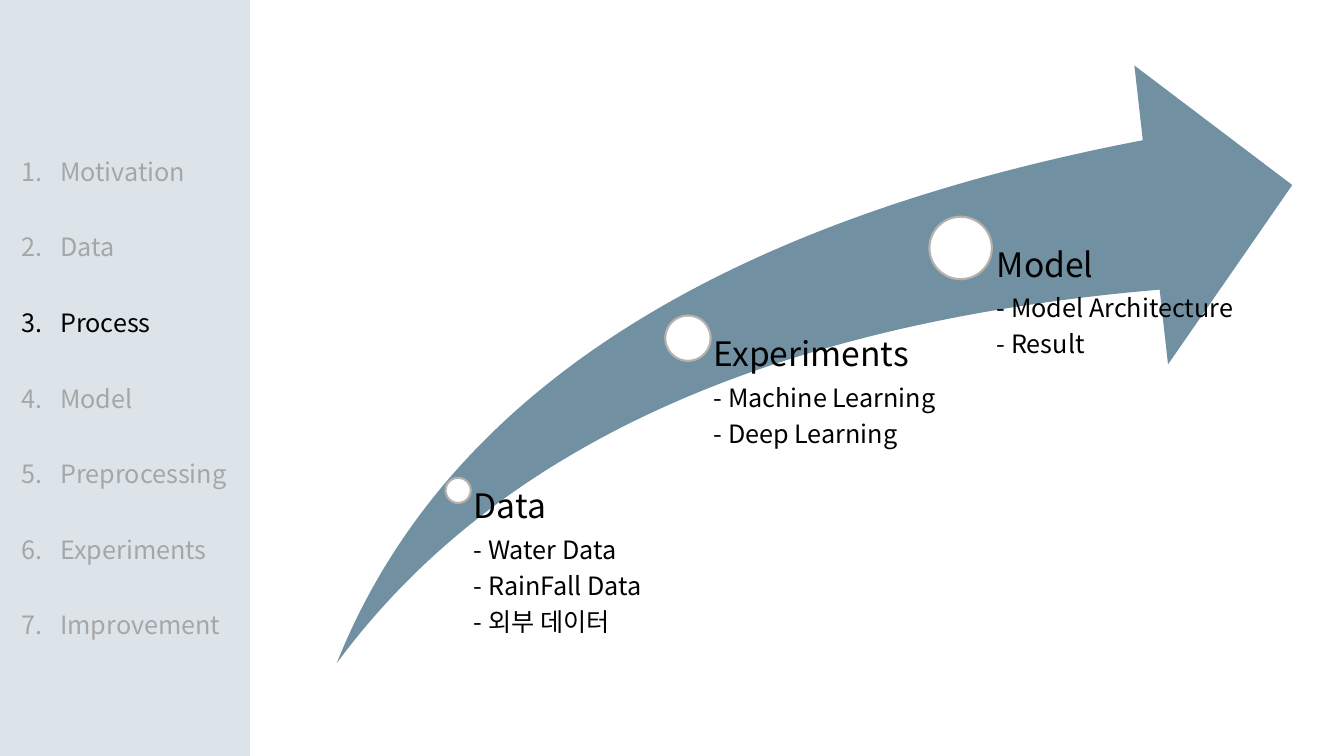
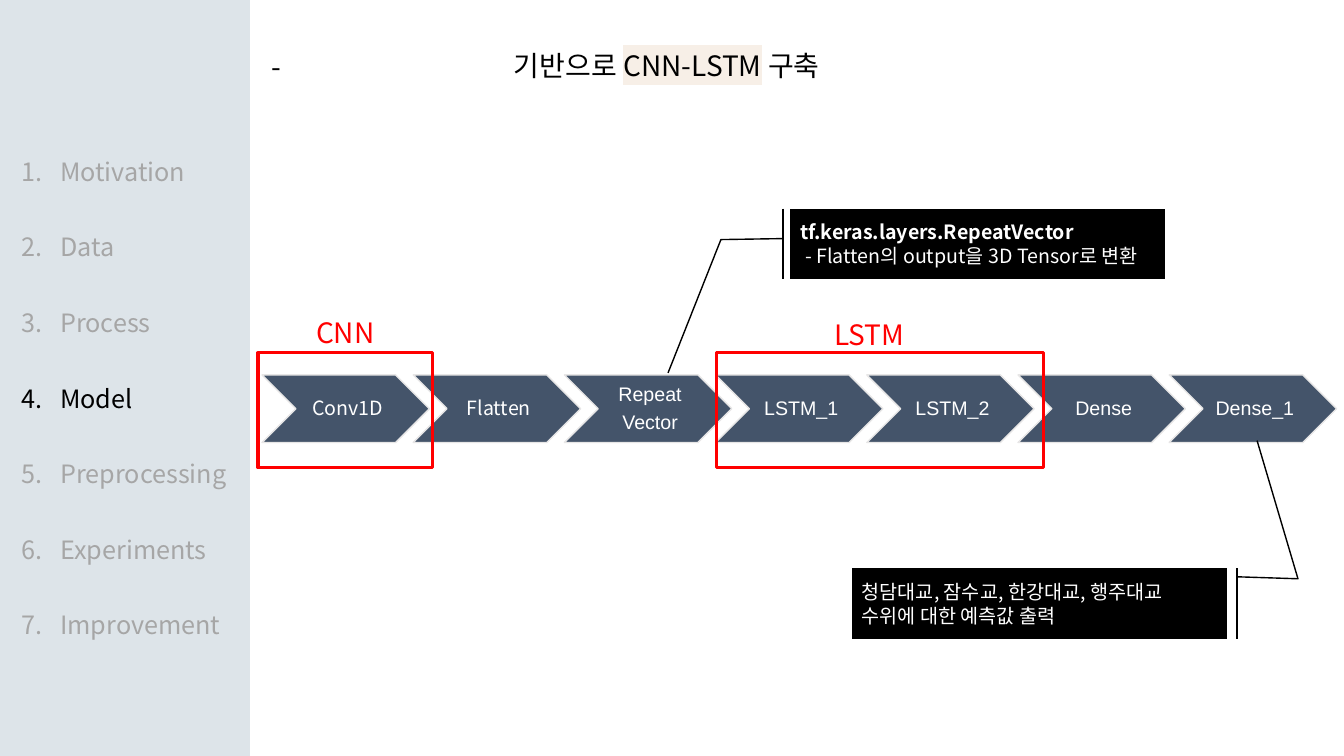
from lxml import etree
from pptx import Presentation
from pptx.dml.color import RGBColor
from pptx.enum.shapes import MSO_SHAPE
from pptx.enum.text import MSO_ANCHOR, PP_ALIGN
from pptx.oxml.ns import qn
from pptx.util import Pt

PX = 9144
RECT, OVAL = MSO_SHAPE.RECTANGLE, MSO_SHAPE.OVAL
SWOOSH, CHEVRON = MSO_SHAPE.SWOOSH_ARROW, MSO_SHAPE.CHEVRON
CALLOUT = MSO_SHAPE.LINE_CALLOUT_2_ACCENT_BAR
TOP, MIDDLE = MSO_ANCHOR.TOP, MSO_ANCHOR.MIDDLE
LEFT, CENTER = PP_ALIGN.LEFT, PP_ALIGN.CENTER
NOTO, ARIAL = "Noto Sans CJK KR", "Arial"
C = {
    "black": "000000", "white": "FFFFFF", "red": "FF0000", "muted": "A6A6A6",
    "band": "DDE4E9", "swoosh": "7191A3", "ring": "B7B1AC",
    "step": "44546A", "step_line": "E7E6E6", "mark": "F7EFE7",
}

SECTIONS = ["Motivation", "Data", "Process", "Model",
            "Preprocessing", "Experiments", "Improvement"]

STAGES = [
    {"dot": (442, 474, 25), "text": (457, 486, 221, 171), "inset": 13,
     "title": "Data",
     "items": ["- Water Data", "- RainFall Data", "- 외부 데이터"]},
    {"dot": (660, 313, 45), "text": (684, 335, 264, 322), "inset": 24,
     "title": "Experiments",
     "items": ["- Machine Learning", "- Deep Learning"]},
    {"dot": (922, 215, 62), "text": (956, 246, 288, 412), "inset": 33,
     "title": "Model",
     "items": ["- Model Architecture", "- Result"]},
]

HEADLINE = [("기반으로 ", {}), ("CNN-LSTM", {"mark": "mark"}), (" 구축", {})]
LAYERS = [
    (["Conv1D"], NOTO), (["Flatten"], NOTO), (["Repeat", "Vector"], ARIAL),
    (["LSTM_1"], ARIAL), (["LSTM_2"], ARIAL), (["Dense"], ARIAL),
    (["Dense_1"], ARIAL),
]
BLOCKS = [
    ("CNN", (256, 350, 173, 114), (294, 291, 97, 55)),
    ("LSTM", (711, 350, 324, 114), (814, 293, 97, 55)),
]
CALLOUTS = [
    {"at": (784, 207, 372, 70),
     "adj": (0.425, -0.02, 0.439, -0.185, 2.328, -0.326),
     "text": [[("tf.keras.layers.RepeatVector", {"bold": True})],
              "- Flatten의 output을 3D Tensor로 변환"],
     "indents": [0, 5]},
    {"at": (845, 564, 372, 70),
     "adj": (0.118, 1.027, 0.146, 1.19, -1.812, 1.081),
     "text": ["청담대교, 잠수교, 한강대교, 행주대교 수위에 대한 예측값 출력"],
     "indents": [0]},
]


def px(*values):
    return [round(v * PX) for v in values]


def child(parent, tag, **attrs):
    return etree.SubElement(parent, qn(tag), attrs)


def add_run(p, text, size=18, color="black", font=NOTO, bold=False, mark=None):
    r = p.add_run()
    r.text = text
    r.font.size = Pt(size)
    r.font.bold = bold
    r.font.color.rgb = RGBColor.from_string(C[color])
    if mark:
        rpr = r._r.get_or_add_rPr()
        child(child(rpr, "a:highlight"), "a:srgbClr", val=C[mark])
    r.font.name = font
    child(r._r.rPr, "a:ea", typeface=font)


def write(sp, paragraphs, align=LEFT, anchor=TOP, insets=(10, 5, 10, 5),
          spacing=1.0, after=None, margin=0, indents=None, bullet=None, **fmt):
    tf = sp.text_frame
    tf.word_wrap = True
    tf.vertical_anchor = anchor
    tf.margin_left, tf.margin_top, tf.margin_right, tf.margin_bottom = px(*insets)
    for i, runs in enumerate(paragraphs):
        p = tf.paragraphs[0] if i == 0 else tf.add_paragraph()
        p.alignment = align
        p.line_spacing = spacing
        ppr = p._p.get_or_add_pPr()
        if after:
            p.space_after = Pt(0)
            gap = ppr.find(qn("a:spcAft"))
            gap.remove(gap[0])
            child(gap, "a:spcPct", val=str(after * 1000))
        indent = indents[i] if indents else -margin
        ppr.set("marL", str(margin * PX))
        ppr.set("indent", str(indent * PX))
        if bullet == "number":
            child(ppr, "a:buAutoNum", type="arabicPeriod")
        elif bullet:
            child(ppr, "a:buFont", typeface=NOTO)
            child(ppr, "a:buChar", char=bullet)
        for text, over in [(runs, {})] if isinstance(runs, str) else runs:
            add_run(p, text, **{**fmt, **over})


def add_shape(s, kind, at, fill=None, line=None, width=1, adj=()):
    sp = s.shapes.add_shape(kind, *px(*at))
    sp.shadow.inherit = False
    if fill:
        sp.fill.solid()
        sp.fill.fore_color.rgb = RGBColor.from_string(C[fill])
    else:
        sp.fill.background()
    if line:
        sp.line.color.rgb = RGBColor.from_string(C[line])
        sp.line.width = Pt(width)
    else:
        sp.line.fill.background()
    for i, value in enumerate(adj):
        sp.adjustments[i] = value
    return sp


def add_text(s, at, paragraphs, **fmt):
    write(s.shapes.add_textbox(*px(*at)), paragraphs, **fmt)


def new_slide(prs, current):
    s = prs.slides.add_slide(prs.slide_layouts[6])
    add_shape(s, RECT, (0, 0, 248, 750), "band")
    entries = [[(name, {"color": "black" if name == current else "muted"})]
               for name in SECTIONS]
    add_text(s, (12, 105, 236, 571), entries, spacing=2.5, margin=38,
             bullet="number")
    return s


def process_slide(prs):
    s = new_slide(prs, "Process")
    add_shape(s, SWOOSH, (334, 65, 948, 593), "swoosh", adj=(0.25, 0.25))
    for stage in STAGES:
        x, y, d = stage["dot"]
        add_shape(s, OVAL, (x, y, d, d), "white", "ring", 1.5)
        title = [(stage["title"], {"size": 24})]
        add_text(s, stage["text"], [title, *stage["items"]], spacing=0.9,
                 after=35, insets=(stage["inset"], 0, 0, 0))


def model_slide(prs):
    s = new_slide(prs, "Model")
    add_text(s, (260, 27, 753, 55), [HEADLINE], size=20, spacing=1.5,
             margin=240, bullet="-")
    for i, (lines, font) in enumerate(LAYERS):
        sp = add_shape(s, CHEVRON, (260 + 150 * i, 372, 166, 67),
                       "step", "step_line")
        write(sp, lines, size=14, color="white", font=font, align=CENTER,
              anchor=MIDDLE, insets=(6, 2, 2, 2), spacing=0.9, after=35)
    for note in CALLOUTS:
        sp = add_shape(s, CALLOUT, note["at"], "black", "black",
                       adj=note["adj"])
        write(sp, note["text"], size=14, color="white", anchor=MIDDLE,
              indents=note["indents"])
    for name, frame, label in BLOCKS:
        add_shape(s, RECT, frame, line="red", width=2.25)
        add_text(s, label, [name], size=20, color="red", align=CENTER,
                 spacing=1.5)


def main():
    prs = Presentation()
    prs.slide_width, prs.slide_height = px(1333.33, 750)
    process_slide(prs)
    model_slide(prs)
    prs.save("out.pptx")


if __name__ == "__main__":
    main()
